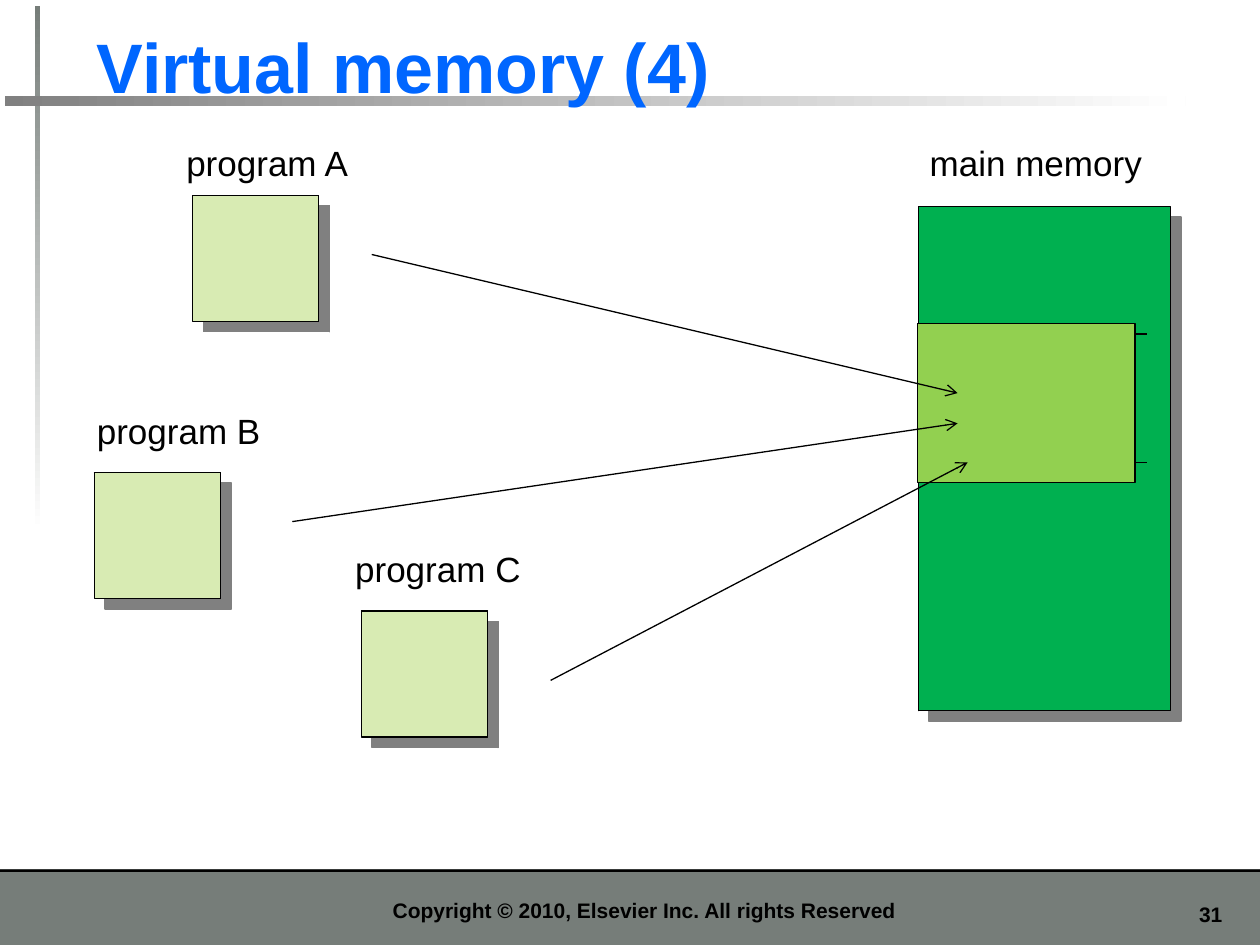
from lxml import etree
from pptx import Presentation
from pptx import util as u
from pptx.dml import color
from pptx.enum import shapes, text
from pptx.oxml import ns


def rgb(value):
    return color.RGBColor.from_string(value)


class Deck:
    """Hold the style and the current slide, and draw each kind of element."""

    font = "Arial"
    ink = "000000"
    shade = "808080"
    line_width = 0.75

    def __init__(self, width, height):
        self.prs = Presentation()
        self.prs.slide_width, self.prs.slide_height = u.Inches(width), u.Inches(height)
        self.s = self.prs.slides.add_slide(self.prs.slide_layouts[6])

    def outline(self, sp):
        sp.line.color.rgb = rgb(self.ink)
        sp.line.width = u.Pt(self.line_width)

    def rect(self, x, y, w, h, fill, outlined=False):
        sp = self.s.shapes.add_shape(shapes.MSO_SHAPE.RECTANGLE, *map(u.Inches, (x, y, w, h)))
        sp.shadow.inherit = False
        sp.fill.solid()
        sp.fill.fore_color.rgb = rgb(fill)
        if outlined:
            self.outline(sp)
        else:
            sp.line.fill.background()
        return sp

    def fading_bar(self, x, y, w, h, start, angle):
        sp = self.rect(x, y, w, h, start)
        sp.fill.gradient()
        sp.fill.gradient_angle = angle
        for stop, value, position in zip(sp.fill.gradient_stops, (start, "FFFFFF"), (0, 1)):
            stop.color.rgb = rgb(value)
            stop.position = position

    def label(self, x, y, w, h, words, size=20, bold=False, value=ink, align="LEFT",
              anchor="TOP", wrap=False):
        sp = self.s.shapes.add_textbox(*map(u.Inches, (x, y, w, h)))
        tf = sp.text_frame
        tf.text = words
        tf.word_wrap = wrap
        tf.vertical_anchor = getattr(text.MSO_ANCHOR, anchor)
        p = tf.paragraphs[0]
        p.alignment = getattr(text.PP_ALIGN, align)
        r = p.runs[0]
        r.font.name, r.font.size, r.font.bold = self.font, u.Pt(size), bold
        r.font.color.rgb = rgb(value)

    def folded(self, x, y, contours, fill):
        first, *rest = contours
        fb = self.s.shapes.build_freeform(*first[0], scale=u.Inches(1))
        fb.add_line_segments(first[1:], close=True)
        for contour in rest:
            fb.move_to(*contour[0])
            fb.add_line_segments(contour[1:], close=True)
        sp = fb.convert_to_shape(u.Inches(x), u.Inches(y))
        sp.fill.solid()
        sp.fill.fore_color.rgb = rgb(fill)
        self.outline(sp)
        self.split_contours(sp)
        self.cast_shadow(sp)

    def split_contours(self, sp):
        whole = sp._element.xpath(".//a:path")[0]
        size = {key: whole.get(key) for key in ("w", "h")}
        for step in list(whole):
            if step.tag == ns.qn("a:moveTo"):
                part = etree.SubElement(whole.getparent(), ns.qn("a:path"), size)
            part.append(step)
        whole.getparent().remove(whole)

    def cast_shadow(self, sp):
        sp.shadow.inherit = False
        effects = sp._element.spPr.find(ns.qn("a:effectLst"))
        shadow = etree.SubElement(effects, ns.qn("a:outerShdw"), dist=str(u.Pt(8.5)),
                                  dir="2700000", algn="ctr", rotWithShape="0")
        etree.SubElement(shadow, ns.qn("a:srgbClr"), val=self.shade)

    def line(self, start, end, arrow=False):
        sp = self.s.shapes.add_connector(shapes.MSO_CONNECTOR.STRAIGHT,
                                         *map(u.Inches, (*start, *end)))
        self.outline(sp)
        if arrow:
            etree.SubElement(sp.line._get_or_add_ln(), ns.qn("a:tailEnd"), type="arrow")
        etree.SubElement(sp._element.spPr, ns.qn("a:effectLst"))

    def program_pages(self, x, y):
        outer = [(0, 1.15), (0, 0.18), (0.09, 0.18), (0.09, 0.09), (0.19, 0.09), (0.19, 0),
                 (1.14, 0), (1.14, 1.21), (1.05, 1.21), (1.05, 1.3), (0.96, 1.3),
                 (0.96, 1.39), (0.24, 1.39)]
        middle = [(0.19, 0.09), (1.05, 0.09), (1.05, 1.3), (0.96, 1.3), (0.96, 0.18),
                  (0.09, 0.18), (0.09, 0.09)]
        fold = [(0, 1.15), (0.24, 1.15), (0.24, 1.39)]
        self.folded(x, y, (outer, middle, fold), "D8EBB3")

    def memory_page(self, x, y):
        outer = [(0, 0), (1.72, 0), (1.72, 4.01), (0.4, 4.01), (0, 3.24)]
        fold = [(0, 3.24), (0.4, 3.24), (0.4, 4.01)]
        self.folded(x, y, (outer, fold), "00B050")


def main():
    d = Deck(10, 7.5)
    d.rect(0, 6.9, 10, 0.6, "767D79")
    d.rect(0, 6.9, 10, 0.02, d.ink)
    d.label(9.17, 7.11, 0.63, 0.3, "31", 12, True, align="RIGHT", wrap=True)
    d.fading_bar(0.28, 0.05, 0.04, 4.17, "767D79", 270)
    d.fading_bar(0.04, 0.76, 9.37, 0.08, d.shade, 0)
    d.label(0.67, 0.13, 9.06, 0.77, "Virtual memory (4)", 40, True, "0066FF",
            anchor="BOTTOM", wrap=True)
    d.label(1.14, 6.98, 7.95, 0.39, "Copyright © 2010, Elsevier Inc. All rights Reserved",
            12, True, align="CENTER", anchor="BOTTOM", wrap=True)

    for x, y in ((1.53, 1.55), (0.75, 3.75), (2.87, 4.85)):
        d.program_pages(x, y)
    for name, x, y, w in (("A", 1.38, 1.07, 1.49), ("B", 0.67, 3.2, 1.51),
                          ("C", 2.72, 4.3, 1.52)):
        d.label(x, y, w, 0.44, f"program {name}")

    d.memory_page(7.29, 1.64)
    d.label(7.28, 1.07, 1.9, 0.44, "main memory")
    for y in (2.65, 3.67):
        d.line((7.28, y), (9.1, y))
    d.rect(7.28, 2.57, 1.73, 1.26, "92D050", outlined=True)
    for start, end in (((2.95, 2.02), (7.6, 3.12)), ((2.32, 4.14), (7.6, 3.36)),
                       ((4.37, 5.4), (7.68, 3.67))):
        d.line(start, end, arrow=True)
    d.prs.save("out.pptx")


if __name__ == "__main__":
    main()
